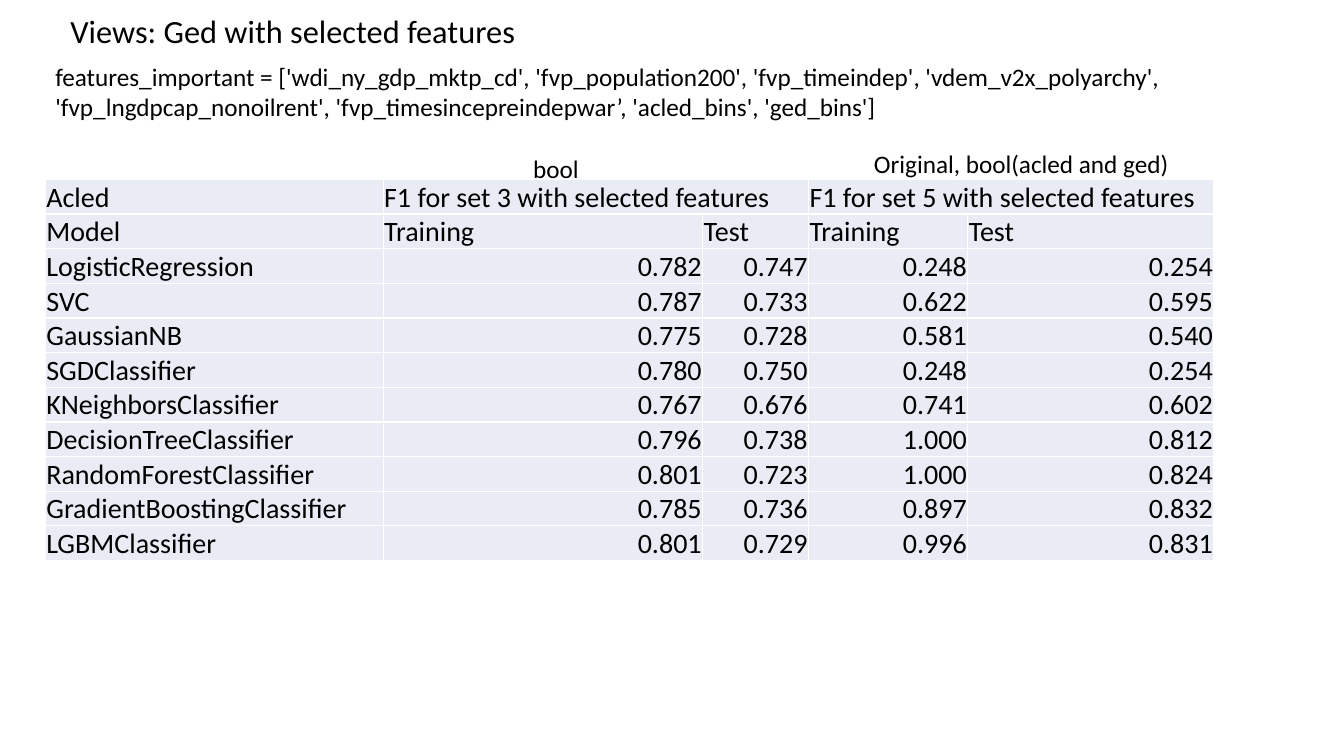
from pptx import Presentation
from pptx.dml.color import RGBColor
from pptx.enum import text as t
from pptx.util import Inches, Pt

HUES = {"ink": "000000", "cell": "E9EBF5"}
WIDTHS = [3.35, 3.17, 1.05, 1.58, 2.44]
HEADS = [
    ["Acled", "F1 for set 3 with selected features", "",
     "F1 for set 5 with selected features", ""],
    ["Model", "Training", "Test", "Training", "Test"],
]
SCORES = [
    ["LogisticRegression", 0.782, 0.747, 0.248, 0.254],
    ["SVC", 0.787, 0.733, 0.622, 0.595],
    ["GaussianNB", 0.775, 0.728, 0.581, 0.540],
    ["SGDClassifier", 0.780, 0.750, 0.248, 0.254],
    ["KNeighborsClassifier", 0.767, 0.676, 0.741, 0.602],
    ["DecisionTreeClassifier", 0.796, 0.738, 1.000, 0.812],
    ["RandomForestClassifier", 0.801, 0.723, 1.000, 0.824],
    ["GradientBoostingClassifier", 0.785, 0.736, 0.897, 0.832],
    ["LGBMClassifier", 0.801, 0.729, 0.996, 0.831],
]
FEATURES = (
    "features_important = ['wdi_ny_gdp_mktp_cd', 'fvp_population200', "
    "'fvp_timeindep', 'vdem_v2x_polyarchy', 'fvp_lngdpcap_nonoilrent', "
    "'fvp_timesincepreindepwar’, 'acled_bins', 'ged_bins']"
)


def write(frame, words, size=18, align=t.PP_ALIGN.LEFT, space=None):
    """Put one formatted paragraph in a text frame."""
    para = frame.paragraphs[0]
    para.alignment = align
    para.line_spacing = space
    run = para.add_run()
    run.text = words
    run.font.name = "Calibri"
    run.font.size = Pt(size)
    run.font.color.rgb = RGBColor.from_string(HUES["ink"])


def add_text(slide, box, words, wrap=True, anchor=t.MSO_ANCHOR.TOP, **form):
    """Add a text box."""
    frame = slide.shapes.add_textbox(*map(Inches, box)).text_frame
    frame.word_wrap = wrap
    frame.vertical_anchor = anchor
    write(frame, words, **form)


def fill_cell(cell, value):
    """Shade a cell and write its value, with scores on the right."""
    cell.fill.solid()
    cell.fill.fore_color.rgb = RGBColor.from_string(HUES["cell"])
    cell.vertical_anchor = t.MSO_ANCHOR.BOTTOM
    cell.margin_left = cell.margin_right = cell.margin_top = Inches(0.01)
    cell.margin_bottom = 0
    if isinstance(value, float):
        write(cell.text_frame, f"{value:.3f}", size=20, align=t.PP_ALIGN.RIGHT)
    elif value:
        write(cell.text_frame, value, size=20)


def add_scores(slide, left, top, high):
    """Add the table of model scores."""
    rows = HEADS + SCORES
    table = slide.shapes.add_table(
        len(rows), len(WIDTHS), Inches(left), Inches(top),
        Inches(sum(WIDTHS)), Inches(high * len(rows))).table
    table.first_row = table.horz_banding = False
    for col, width in zip(table.columns, WIDTHS):
        col.width = Inches(width)
    for r, row in enumerate(rows):
        table.rows[r].height = Inches(high)
        for c, value in enumerate(row):
            fill_cell(table.cell(r, c), value)
    for c in (1, 3):
        table.cell(0, c).merge(table.cell(0, c + 1))


def main():
    """Build and save the slide."""
    deck = Presentation()
    deck.slide_width, deck.slide_height = Inches(13.33), Inches(7.5)
    slide = deck.slides.add_slide(deck.slide_layouts[6])
    add_text(slide, (0.6, 0.15, 12.14, 0.41), "Views: Ged with selected features",
             anchor=t.MSO_ANCHOR.MIDDLE, size=23.1, space=0.7)
    add_text(slide, (0.45, 0.56, 12.29, 1.31), FEATURES)
    add_scores(slide, 0.45, 1.78, 0.34)
    add_text(slide, (5.19, 1.47, 0.66, 0.4), "bool", wrap=False)
    add_text(slide, (8.57, 1.42, 3.16, 0.4), "Original, bool(acled and ged)",
             wrap=False)
    deck.save("out.pptx")


if __name__ == "__main__":
    main()
